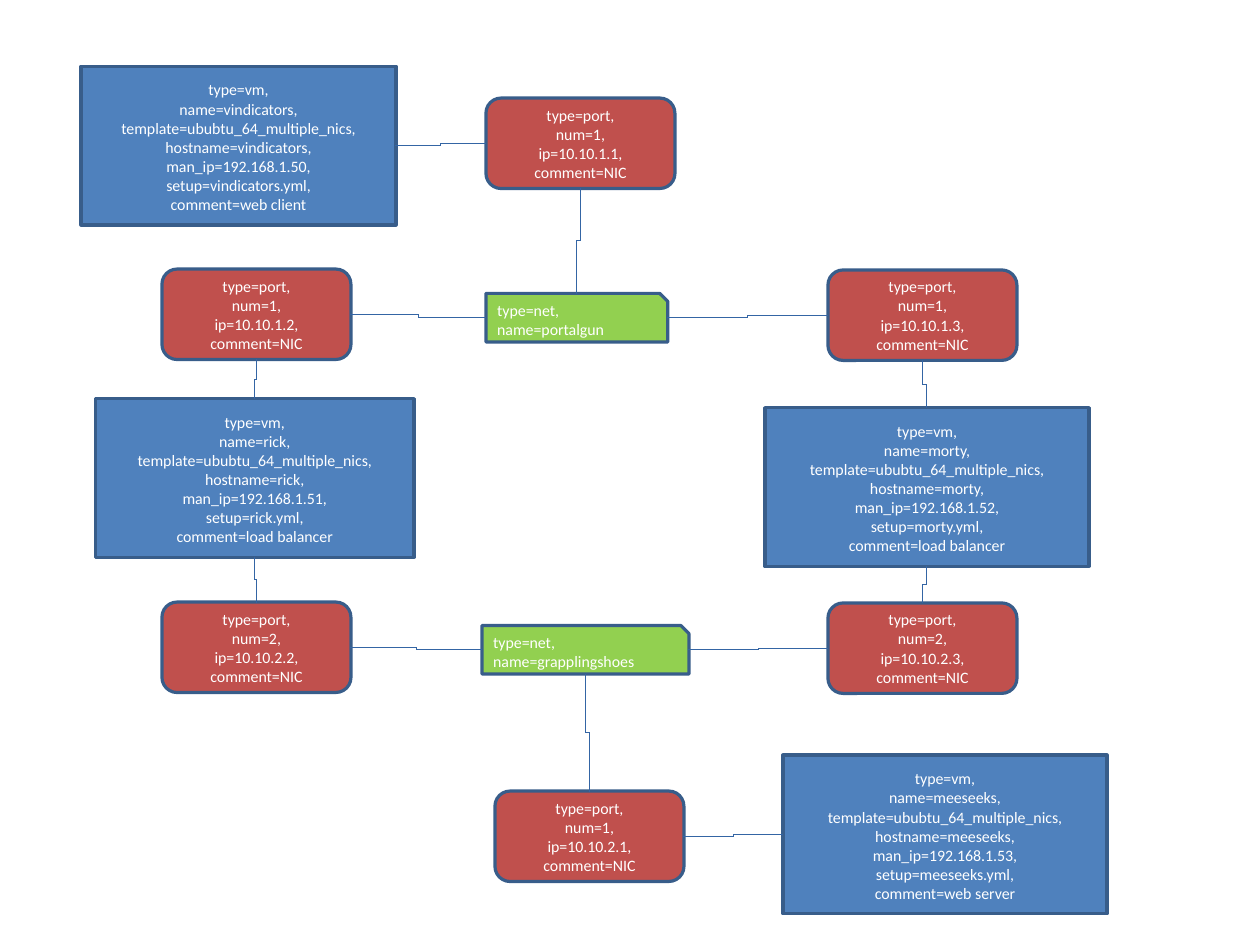
from lxml import etree
from pptx import Presentation
from pptx import util as u
from pptx.dml.color import RGBColor
from pptx.enum import shapes, text
from pptx.oxml.ns import qn

COLS, ROWS = 28, 21


def rgb(code):
    """Turn a hex string into a colour."""
    return RGBColor.from_string(code)


def write(tf, lines, size=10, font="Calibri", color="FFFFFF", align=text.PP_ALIGN.CENTER):
    """Fill a text frame with one paragraph per line."""
    tf.word_wrap = True
    tf.vertical_anchor = text.MSO_ANCHOR.MIDDLE
    for i, line in enumerate(lines):
        p = tf.add_paragraph() if i else tf.paragraphs[0]
        p.alignment = align
        r = p.add_run()
        r.text = line
        r.font.size, r.font.name = u.Pt(size), font
        r.font.color.rgb = rgb(color)


class Diagram:
    """Draw network nodes and links on a grid of 28 columns by 21 rows."""

    VM, PORT, NET = "4F81BD", "C0504D", "92D050"
    BORDER, LINK = "385D8A", "3465A4"

    def __init__(self, prs):
        """Add a blank slide and work out the grid cell."""
        self.s = prs.slides.add_slide(prs.slide_layouts[6])
        self.col = prs.slide_width / COLS
        self.row = prs.slide_height / ROWS

    def node(self, kind, fill, x, y, w, h, lines, **fmt):
        """Add an outlined shape with text."""
        sp = self.s.shapes.add_shape(kind, round(x * self.col), round(y * self.row),
                                     round(w * self.col), round(h * self.row))
        sp.shadow.inherit = False
        sp.fill.solid()
        sp.fill.fore_color.rgb = rgb(fill)
        sp.line.color.rgb = rgb(self.BORDER)
        sp.line.width = u.Pt(2)
        write(sp.text_frame, lines, **fmt)
        return sp

    def vm(self, x, y, w, name, ip, comment):
        """Add a virtual machine box."""
        lines = ["type=vm,", f"name={name},", "template=ububtu_64_multiple_nics,",
                 f"hostname={name},", f"man_ip=192.168.1.{ip},",
                 f"setup={name}.yml,", f"comment={comment}"]
        sp = self.node(shapes.MSO_SHAPE.RECTANGLE, self.VM, x, y, w, 3.53, lines)
        sp.text_frame.margin_top = u.Pt(5.2)
        return sp

    def port(self, x, y, num, ip):
        """Add a rounded port box."""
        lines = ["type=port,", f"num={num},", f"ip=10.10.{ip},", "comment=NIC"]
        return self.node(shapes.MSO_SHAPE.ROUNDED_RECTANGLE, self.PORT, x, y, 4.2, 2.01, lines)

    def net(self, x, y, w, name):
        """Add a network box with a cut corner."""
        return self.node(shapes.MSO_SHAPE.SNIP_1_RECTANGLE, self.NET, x, y, w, 1.08,
                         ["type=net,", f"name={name}"], align=text.PP_ALIGN.LEFT)

    def elbow(self, x1, y1, x2, y2, turn=0):
        """Add a hairline elbow, turned by whole degrees."""
        cn = self.s.shapes.add_connector(shapes.MSO_CONNECTOR.ELBOW,
                                         *(round(v) for v in (x1, y1, x2, y2)))
        cn.line.color.rgb = rgb(self.LINK)
        cn.line.width = u.Pt(0)
        el = cn._element
        el.remove(el.find(qn("p:style")))
        etree.SubElement(el.spPr, qn("a:effectLst"))
        if turn:
            el.spPr.find(qn("a:xfrm")).set("rot", str(turn * 60000))

    def across(self, a, b):
        """Link the right side of one node to the left side of the next."""
        self.elbow(a.left + a.width, a.top + a.height / 2, b.left, b.top + b.height / 2)

    def down(self, a, b):
        """Link the bottom of one node to the top of the next."""
        x1, y1 = a.left + a.width / 2, a.top + a.height
        x2, y2 = b.left + b.width / 2, b.top
        cx, cy = (x1 + x2) / 2, (y1 + y2) / 2
        half_w, half_h = (y2 - y1) / 2, abs(x2 - x1) / 2
        turn = 90 if x2 <= x1 else 270
        if turn == 270:
            half_w = -half_w
        self.elbow(cx - half_w, cy - half_h, cx + half_w, cy + half_h, turn)


def main():
    """Build the network slide."""
    prs = Presentation()
    prs.slide_width, prs.slide_height = u.Cm(COLS), u.Cm(ROWS)
    d = Diagram(prs)

    client = d.vm(1.8, 1.47, 7, "vindicators", 50, "web client")
    rick = d.vm(2.12, 8.86, 7.08, "rick", 51, "load balancer")
    server = d.vm(17.4, 16.78, 7.2, "meeseeks", 53, "web server")
    morty = d.vm(17, 9.06, 7.2, "morty", 52, "load balancer")

    client_nic = d.port(10.8, 2.18, 1, "1.1")
    server_nic = d.port(11, 17.58, 1, "2.1")
    morty_out = d.port(18.4, 13.4, 2, "2.3")
    rick_out = d.port(3.6, 13.38, 2, "2.2")
    morty_in = d.port(18.4, 6, 1, "1.3")
    rick_in = d.port(3.6, 5.98, 1, "1.2")

    front = d.net(10.8, 6.52, 4.04, "portalgun")
    back = d.net(10.71, 13.9, 4.6, "grapplingshoes")

    for a, b in [(client, client_nic), (rick_in, front), (front, morty_in),
                 (rick_out, back), (back, morty_out), (server_nic, server)]:
        d.across(a, b)
    for a, b in [(client_nic, front), (rick_in, rick), (morty_in, morty),
                 (rick, rick_out), (morty, morty_out), (back, server_nic)]:
        d.down(a, b)

    prs.save("out.pptx")


if __name__ == "__main__":
    main()
